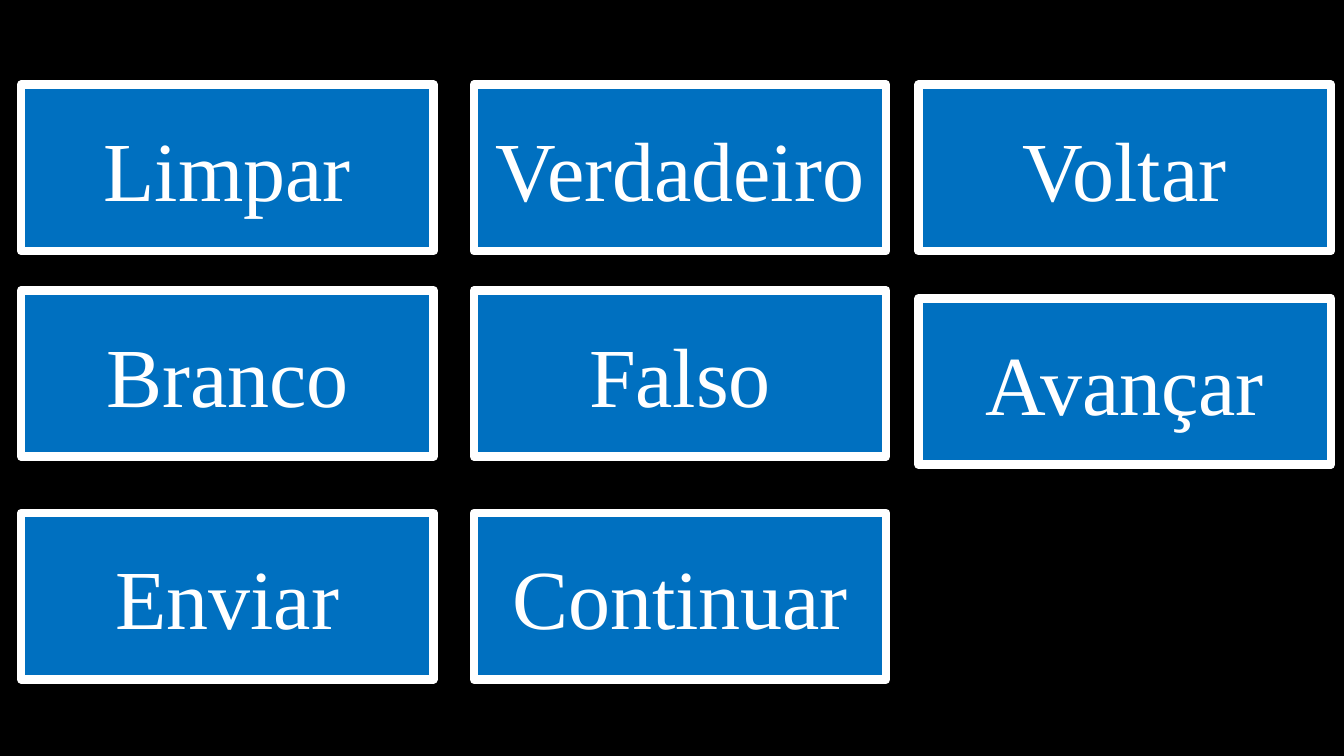
import pptx
import pptx.util
import pptx.dml.color
import pptx.enum.shapes
import pptx.enum.text

BLACK = pptx.dml.color.RGBColor(0x00, 0x00, 0x00)
BLUE = pptx.dml.color.RGBColor(0x00, 0x70, 0xC0)
WHITE = pptx.dml.color.RGBColor(0xFF, 0xFF, 0xFF)
inch = pptx.util.Inches

# Slide with a black background
deck = pptx.Presentation()
deck.slide_width, deck.slide_height = inch(13.33), inch(7.5)
slide = deck.slides.add_slide(deck.slide_layouts[6])
slide.background.fill.solid()
slide.background.fill.fore_color.rgb = BLACK

# Grid: left edge of each column, top edges of its rows, button labels
wide, high = 4.09, 1.65
rows = (0.84, 2.88, 5.09)
grid = (
    (0.21, rows, ("Limpar", "Branco", "Enviar")),
    (4.7, rows, ("Verdadeiro", "Falso", "Continuar")),
    (9.11, (0.84, 2.96), ("Voltar", "Avançar")),
)

# Buttons
for left, tops, labels in grid:
    for top, label in zip(tops, labels):
        button = slide.shapes.add_shape(
            pptx.enum.shapes.MSO_SHAPE.RECTANGLE,
            inch(left), inch(top), inch(wide), inch(high))
        button.shadow.inherit = False
        button.fill.solid()
        button.fill.fore_color.rgb = BLUE
        button.line.color.rgb = WHITE
        button.line.width = pptx.util.Pt(6)

        frame = button.text_frame
        frame.text = label
        frame.word_wrap = True
        frame.vertical_anchor = pptx.enum.text.MSO_ANCHOR.MIDDLE
        line = frame.paragraphs[0]
        line.alignment = pptx.enum.text.PP_ALIGN.CENTER
        font = line.runs[0].font
        font.name = "Times New Roman"
        font.size = pptx.util.Pt(60)
        font.color.rgb = WHITE

deck.save("out.pptx")
